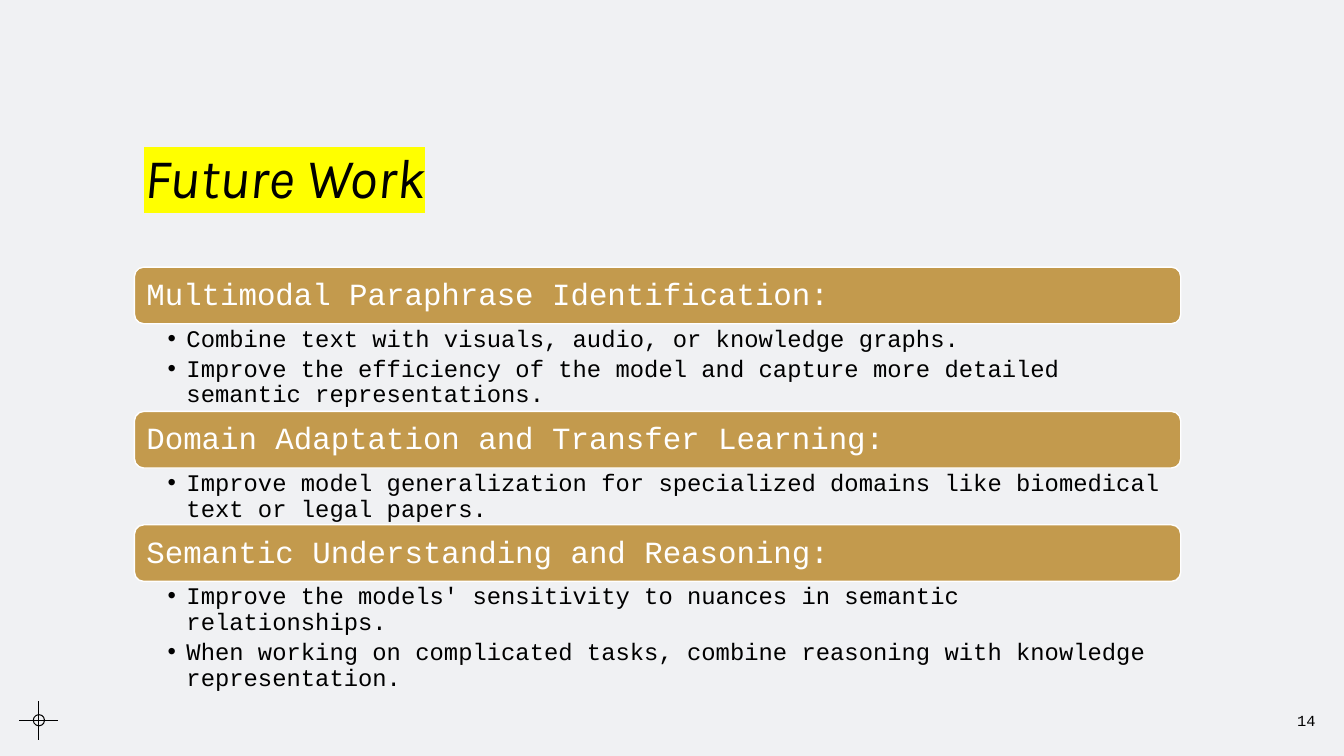
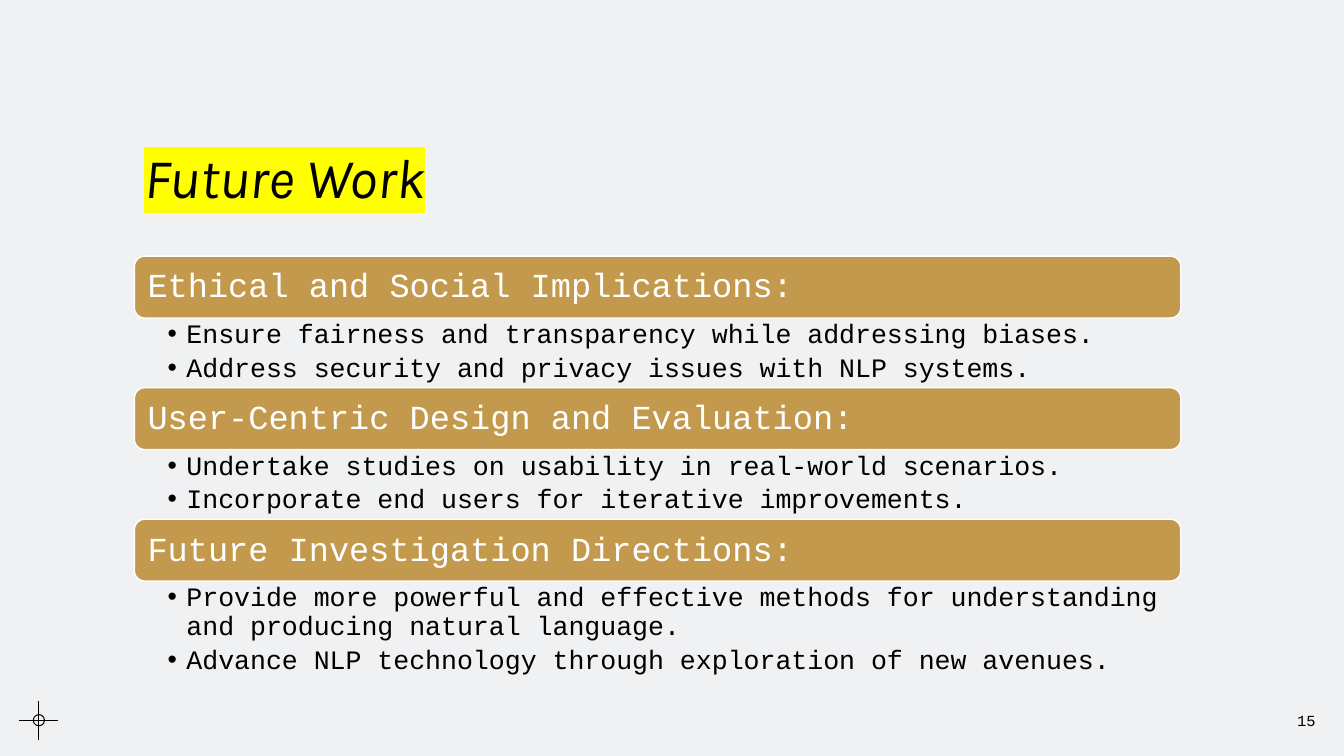
from dataclasses import dataclass

from pptx import Presentation
from pptx import util as u
from pptx.dml import color
from pptx.enum import shapes, text
from pptx.oxml import ns
from lxml import etree

Pt = u.Pt


# Theme: colours, fonts, type sizes and the shared column
@dataclass(frozen=True)
class Theme:
    ground: str = "F0F1F3"
    ink: str = "000000"
    paper: str = "FFFFFF"
    gold: str = "C39A4D"
    marker: str = "FFFF00"
    title_font: str = "Karla"
    body_font: str = "Courier New"
    title_size: float = 40
    number_size: float = 11
    left: float = 96
    width: float = 747.4


THEME = Theme()


def rgb(value):
    return color.RGBColor.from_string(value)


def add_child(parent, tag, **attributes):
    return etree.SubElement(parent, ns.qn(tag), attributes)


def write(para, words, *, size, font=THEME.body_font, ink=THEME.ink, italic=False,
          align=text.PP_ALIGN.LEFT, spacing=1.0, after=0, highlight=None, bullet_indent=0):
    """Fill a paragraph with one formatted run."""
    para.alignment = align
    para.line_spacing = spacing
    para.space_after = Pt(after)
    span = para.add_run()
    span.text = words
    span.font.size = Pt(size)
    span.font.italic = italic
    span.font.color.rgb = rgb(ink)
    if highlight:
        add_child(add_child(span.font._element, "a:highlight"), "a:srgbClr", val=highlight)
    span.font.name = font
    if bullet_indent:
        props = para._p.get_or_add_pPr()
        props.set("marL", str(Pt(bullet_indent)))
        props.set("indent", str(-Pt(bullet_indent)))
        add_child(props, "a:buFont", typeface="Arial")
        add_child(props, "a:buChar", char="•")


class Deck:
    def __init__(self, theme):
        self.theme = theme
        self.file = Presentation()
        self.file.slide_width, self.file.slide_height = Pt(960), Pt(540)
        fill = self.file.slide_master.background.fill
        fill.solid()
        fill.fore_color.rgb = rgb(theme.ground)
        self.page = None

    def add_page(self, title, number):
        self.page = self.file.slides.add_slide(self.file.slide_layouts[5])
        self.crosshair()
        self.title(title)
        self.number(number)

    def frame(self, box, anchor, margins=(7.2, 3.6, 7.2, 3.6)):
        frame = box.text_frame
        frame.word_wrap = True
        frame.auto_size = text.MSO_AUTO_SIZE.NONE
        frame.vertical_anchor = anchor
        (frame.margin_left, frame.margin_top,
         frame.margin_right, frame.margin_bottom) = map(Pt, margins)
        return frame

    def text_box(self, left, top, width, height, anchor, **options):
        box = self.page.shapes.add_textbox(Pt(left), Pt(top), Pt(width), Pt(height))
        return self.frame(box, anchor, **options)

    def shape(self, kind, left, top, width, height, line, weight, fill=None):
        box = self.page.shapes.add_shape(kind, Pt(left), Pt(top), Pt(width), Pt(height))
        box.shadow.inherit = False
        if fill:
            box.fill.solid()
            box.fill.fore_color.rgb = rgb(fill)
        else:
            box.fill.background()
        box.line.color.rgb = rgb(line)
        box.line.width = Pt(weight)
        return box

    def line(self, *ends):
        rule = self.page.shapes.add_connector(shapes.MSO_CONNECTOR.STRAIGHT, *map(Pt, ends))
        rule.line.color.rgb = rgb(self.theme.ink)
        rule.line.width = Pt(0.75)
        add_child(rule._element.spPr, "a:effectLst")

    def crosshair(self, x=27.8, y=514.5, arm=14, radius=4):
        self.line(x - arm, y, x + arm, y)
        self.line(x, y + arm, x, y - arm)
        self.shape(shapes.MSO_SHAPE.OVAL, x - radius, y - radius, 2 * radius, 2 * radius,
                   self.theme.ink, 0.75)

    def title(self, words):
        box = self.page.shapes.title
        box.left, box.top = Pt(self.theme.left), Pt(28.8)
        box.width, box.height = Pt(self.theme.width), Pt(124.6)
        frame = self.frame(box, text.MSO_ANCHOR.BOTTOM)
        write(frame.paragraphs[0], words, size=self.theme.title_size, italic=True,
              font=self.theme.title_font, spacing=1.2, highlight=self.theme.marker)

    def number(self, value):
        frame = self.text_box(859, 500.4, 87.8, 28.8, text.MSO_ANCHOR.MIDDLE)
        write(frame.paragraphs[0], str(value), size=self.theme.number_size,
              align=text.PP_ALIGN.RIGHT)

    def heading(self, words, top, height, size):
        box = self.shape(shapes.MSO_SHAPE.ROUNDED_RECTANGLE, self.theme.left, top,
                         self.theme.width, height, self.theme.paper, 1, self.theme.gold)
        frame = self.frame(box, text.MSO_ANCHOR.MIDDLE, margins=(0.3 * size, 0, 0.3 * size, 0))
        write(frame.paragraphs[0], words, size=size, ink=self.theme.paper, spacing=0.9)

    def bullets(self, points, top, height, size):
        frame = self.text_box(self.theme.left, top, self.theme.width, height,
                              text.MSO_ANCHOR.TOP, margins=(23.7, 2, 0.71 * size, 2))
        for index, point in enumerate(points):
            para = frame.add_paragraph() if index else frame.paragraphs[0]
            write(para, point, size=size, spacing=0.9, after=0.18 * size, bullet_indent=13.5)

    def sections(self, items, top, heading_size, bullet_size):
        """Stack headings, each followed by its bullets, without gaps."""
        band = 1.84 * heading_size
        for words, height, points in items:
            self.heading(words, top, band, heading_size)
            self.bullets(points, top + band, height, bullet_size)
            top += band + height


# Content: heading, height of its bullets, bullets
MODEL_WORK = [
    ("Multimodal Paraphrase Identification:", 62.6, [
        "Combine text with visuals, audio, or knowledge graphs.",
        "Improve the efficiency of the model and capture more detailed "
        "semantic representations."]),
    ("Domain Adaptation and Transfer Learning:", 40.5, [
        "Improve model generalization for specialized domains like biomedical "
        "text or legal papers."]),
    ("Semantic Understanding and Reasoning:", 62.6, [
        "Improve the models' sensitivity to nuances in semantic relationships.",
        "When working on complicated tasks, combine reasoning with knowledge "
        "representation."]),
]
PEOPLE_WORK = [
    ("Ethical and Social Implications:", 49.8, [
        "Ensure fairness and transparency while addressing biases.",
        "Address security and privacy issues with NLP systems."]),
    ("User-Centric Design and Evaluation:", 49.8, [
        "Undertake studies on usability in real-world scenarios.",
        "Incorporate end users for iterative improvements."]),
    ("Future Investigation Directions:", 70.6, [
        "Provide more powerful and effective methods for understanding "
        "and producing natural language.",
        "Advance NLP technology through exploration of new avenues."]),
]


def main():
    deck = Deck(THEME)
    deck.add_page("Future Work", 14)
    deck.sections(MODEL_WORK, top=190.8, heading_size=22, bullet_size=17)
    deck.add_page("Future Work", 15)
    deck.sections(PEOPLE_WORK, top=183, heading_size=24, bullet_size=19)
    deck.file.save("out.pptx")


if __name__ == "__main__":
    main()
